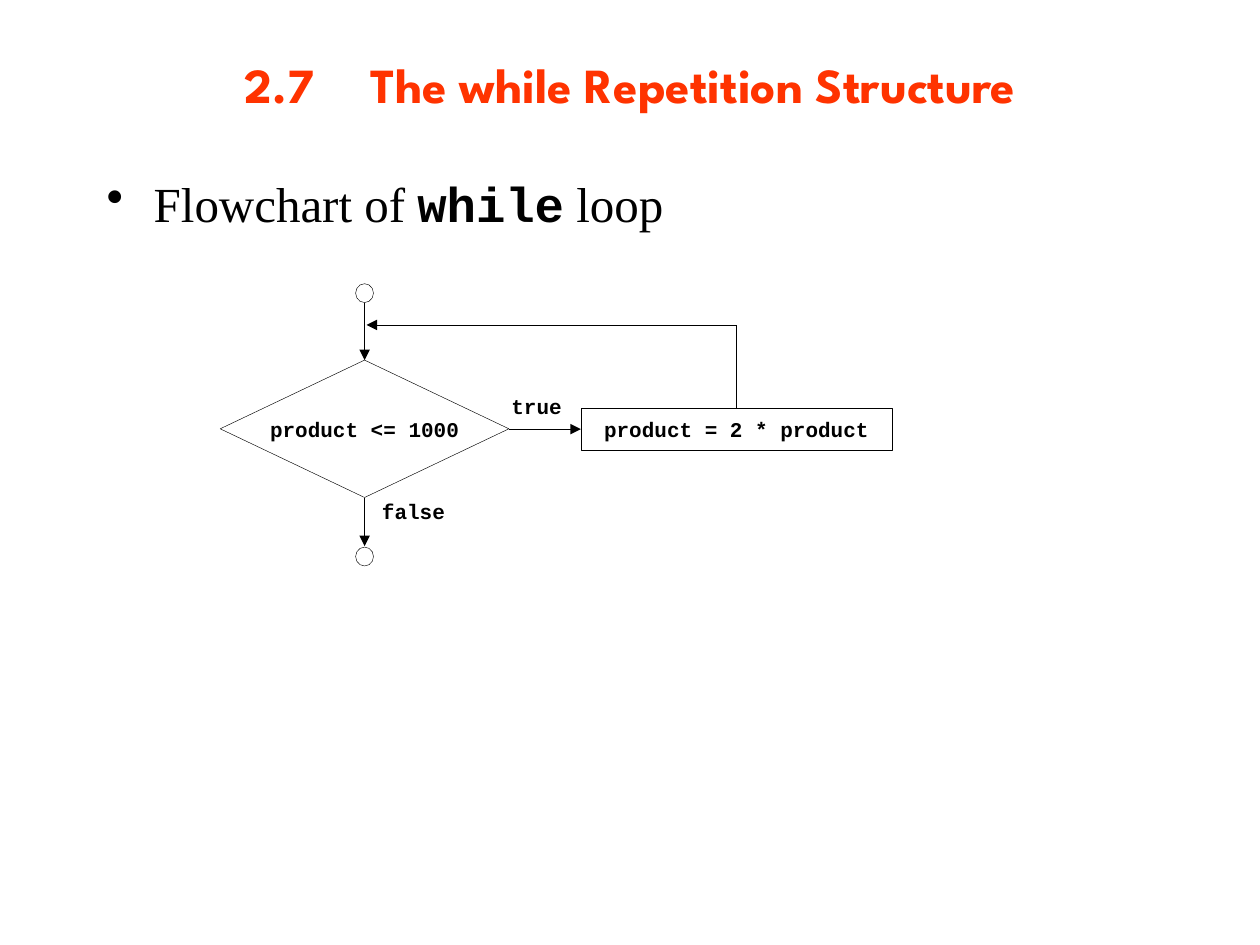
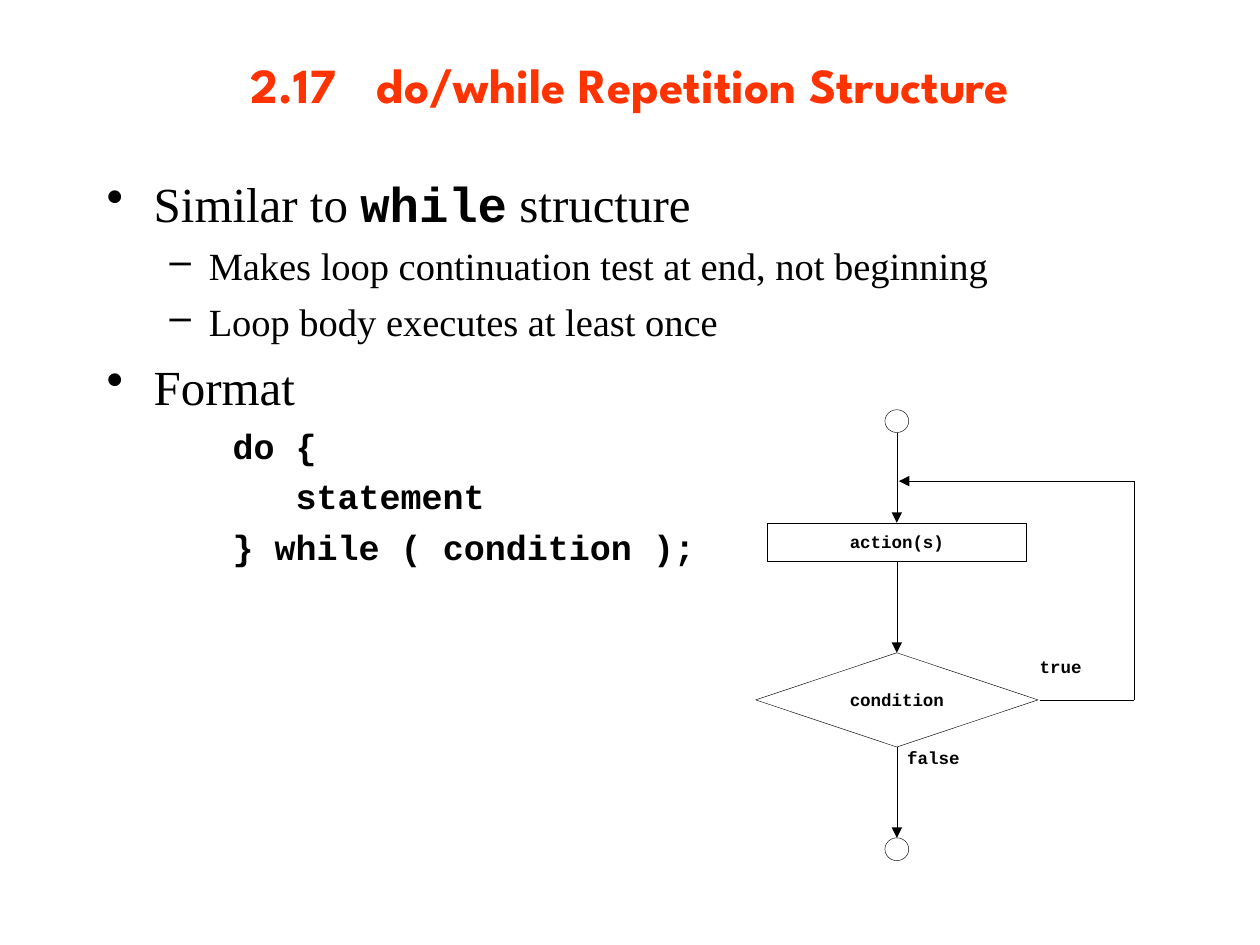
import pptx
import pptx.util
import pptx.dml.color
import pptx.enum.shapes
import pptx.enum.text
import pptx.oxml
import pptx.oxml.ns

Cm = pptx.util.Cm
Pt = pptx.util.Pt
SHAPE = pptx.enum.shapes.MSO_SHAPE
ALIGN = pptx.enum.text.PP_ALIGN
ANCHOR = pptx.enum.text.MSO_ANCHOR

RED = pptx.dml.color.RGBColor(0xFF, 0x33, 0x00)
BLACK = pptx.dml.color.RGBColor(0x00, 0x00, 0x00)
WHITE = pptx.dml.color.RGBColor(0xFF, 0xFF, 0xFF)

TITLE_FONT = "League Spartan"
BODY_FONT = "Times New Roman"
CODE_FONT = "Courier New"

TITLE_BOX = (1.9, 0.2, 21.6, 2.97)
BODY_BOX = (1.9, 3.38, 21.6, 14.6)
TITLE_TAB = 2.54
LINE_WIDTH = 0.25

# Outline styles: level, size, space before, margin, hanging indent, bullet
OUTLINE = {
    "point": (0, 28, 7, 0.95, 0.95, "•"),
    "detail": (1, 22, 5.5, 2.06, 0.79, "–"),
    "code": (2, 20, 5, 3.17, 0.63, None),
    "nested code": (2, 20, 5, 4.44, 0.63, None),
}


def add_xml(parent, tag, **attributes):
    child = pptx.oxml.parse_xml(f"<a:{tag} {pptx.oxml.ns.nsdecls('a')}/>")
    for name, value in attributes.items():
        child.set(name, str(value))
    parent.append(child)
    return child


def style_font(run, name, size, color=BLACK, bold=False):
    run.font.name = name
    run.font.size = Pt(size)
    run.font.bold = bold
    run.font.color.rgb = color


def add_title(slide, heading, box=TITLE_BOX):
    frame = slide.shapes.add_textbox(*map(Cm, box)).text_frame
    frame.word_wrap = True
    frame.vertical_anchor = ANCHOR.MIDDLE
    frame.text = heading
    line = frame.paragraphs[0]
    line.alignment = ALIGN.CENTER
    # The section number and the heading are parted by a tab stop
    tabs = add_xml(line._p.get_or_add_pPr(), "tabLst")
    add_xml(tabs, "tab", pos=Cm(TITLE_TAB), algn="l")
    style_font(line.runs[0], TITLE_FONT, 28, RED, True)


def add_outline(slide, entries, box=BODY_BOX):
    """Backquotes in an entry enclose code."""
    frame = slide.shapes.add_textbox(*map(Cm, box)).text_frame
    frame.word_wrap = True
    for index, (style, wording) in enumerate(entries):
        level, size, before, margin, hanging, bullet = OUTLINE[style]
        line = frame.add_paragraph() if index else frame.paragraphs[0]
        line.level = level
        line.space_before = Pt(before)
        properties = line._p.get_or_add_pPr()
        properties.set("marL", str(Cm(margin)))
        properties.set("indent", str(-Cm(hanging)))
        if bullet:
            add_xml(properties, "buChar", char=bullet)
        else:
            add_xml(properties, "buNone")
        for part, piece in enumerate(wording.split("`")):
            if piece:
                run = line.add_run()
                run.text = piece
                is_code = part % 2 == 1
                style_font(run, CODE_FONT if is_code else BODY_FONT, size, bold=is_code)


class Flowchart:
    """A group of nodes and lines, in cm from the top left of its box."""

    def __init__(self, slide, left, top, size):
        self.shapes = slide.shapes.add_group_shape().shapes
        self.left, self.top, self.size = left, top, size

    def place(self, x, y):
        return Cm(self.left + x), Cm(self.top + y)

    def set_caption(self, frame, wording, alignment):
        frame.margin_left = frame.margin_right = 0
        frame.margin_top = frame.margin_bottom = 0
        frame.text = wording
        frame.paragraphs[0].alignment = alignment
        style_font(frame.paragraphs[0].runs[0], CODE_FONT, self.size, bold=True)

    def node(self, kind, center, top, width, height, wording="", fill=None):
        node = self.shapes.add_shape(
            kind, *self.place(center - width / 2, top), Cm(width), Cm(height))
        node.shadow.inherit = False
        if fill is None:
            node.fill.background()
        else:
            node.fill.solid()
            node.fill.fore_color.rgb = fill
        node.line.color.rgb = BLACK
        node.line.width = Pt(LINE_WIDTH)
        if wording:
            node.text_frame.word_wrap = False
            node.text_frame.vertical_anchor = ANCHOR.MIDDLE
            self.set_caption(node.text_frame, wording, ALIGN.CENTER)

    def terminals(self, axis, tops, width, height):
        for top in tops:
            self.node(SHAPE.OVAL, axis, top, width, height)

    def action(self, *layout):
        self.node(SHAPE.RECTANGLE, *layout)

    def decision(self, *layout):
        self.node(SHAPE.DIAMOND, *layout, fill=WHITE)

    def label(self, x, y, width, wording):
        label = self.shapes.add_textbox(*self.place(x, y), Cm(width), Cm(0.76))
        label.text_frame.word_wrap = True
        self.set_caption(label.text_frame, wording, ALIGN.LEFT)

    def route(self, *points):
        """Joins the points by straight lines; the last one has an arrowhead."""
        for start, end in zip(points, points[1:]):
            step = self.shapes.add_connector(
                pptx.enum.shapes.MSO_CONNECTOR.STRAIGHT,
                *self.place(*start), *self.place(*end))
            step.line.color.rgb = BLACK
            step.line.width = Pt(LINE_WIDTH)
            add_xml(step._element.spPr, "effectLst")
        outline = step._element.spPr.find(pptx.oxml.ns.qn("a:ln"))
        add_xml(outline, "tailEnd", type="triangle")


def draw_while_loop(slide, left, top):
    chart = Flowchart(slide, left, top, 12)
    axis, middle, test_right = 2.91, 2.93, 5.82
    action_left, action_width, action_top = 7.27, 6.27, 2.51
    action_center = action_left + action_width / 2
    loop_top = 0.83

    # Nodes
    chart.terminals(axis, (0, 5.31), 0.36, 0.38)
    chart.decision(axis, 1.54, 5.82, 2.77, "product <= 1000")
    chart.action(action_center, action_top, action_width, 0.84, "product = 2 * product")

    # Flow
    chart.route((axis, 0.38), (axis, 1.54))
    chart.route((axis, 4.31), (axis, 5.29))
    chart.route((test_right, middle), (action_left, middle))
    chart.route((action_center, action_top), (action_center, loop_top),
                (axis + 0.04, loop_top))
    chart.label(5.87, 2.21, 1.3, "true")
    chart.label(3.26, 4.34, 1.57, "false")


def draw_do_while_loop(slide, left, top):
    chart = Flowchart(slide, left, top, 10)
    axis, middle, loop_right, loop_top = 2.84, 5.85, 7.62, 1.44

    # Nodes
    chart.terminals(axis, (0, 8.63), 0.48, 0.46)
    chart.action(axis, 2.28, 5.21, 0.77, "action(s)")
    chart.decision(axis, 4.9, 5.69, 1.9, "condition")

    # Flow
    for start, end in ((0.46, 2.28), (3.05, 4.9), (6.8, 8.63)):
        chart.route((axis, start), (axis, end))
    chart.route((5.72, middle), (loop_right, middle), (loop_right, loop_top),
                (axis + 0.04, loop_top))
    chart.label(5.72, 4.97, 1.68, "true")
    chart.label(3.05, 6.8, 2.06, "false")


def add_topic(deck, heading, entries):
    slide = deck.slides.add_slide(deck.slide_layouts[6])
    add_title(slide, heading)
    add_outline(slide, entries)
    return slide


def main():
    deck = pptx.Presentation()
    deck.slide_width, deck.slide_height = Cm(25.4), Cm(19.05)

    while_slide = add_topic(deck, "2.7\tThe while Repetition Structure", [
        ("point", "Flowchart of `while` loop"),
    ])
    draw_while_loop(while_slide, 4.44, 5.72)

    do_while_slide = add_topic(deck, "2.17\tdo/while Repetition Structure", [
        ("point", "Similar to `while` structure"),
        ("detail", "Makes loop continuation test at end, not beginning"),
        ("detail", "Loop body executes at least once"),
        ("point", "Format"),
        ("code", "`do {`"),
        ("nested code", "`statement`"),
        ("code", "`} while ( condition );`"),
    ])
    draw_do_while_loop(do_while_slide, 15.24, 8.26)

    deck.save("out.pptx")


if __name__ == "__main__":
    main()
